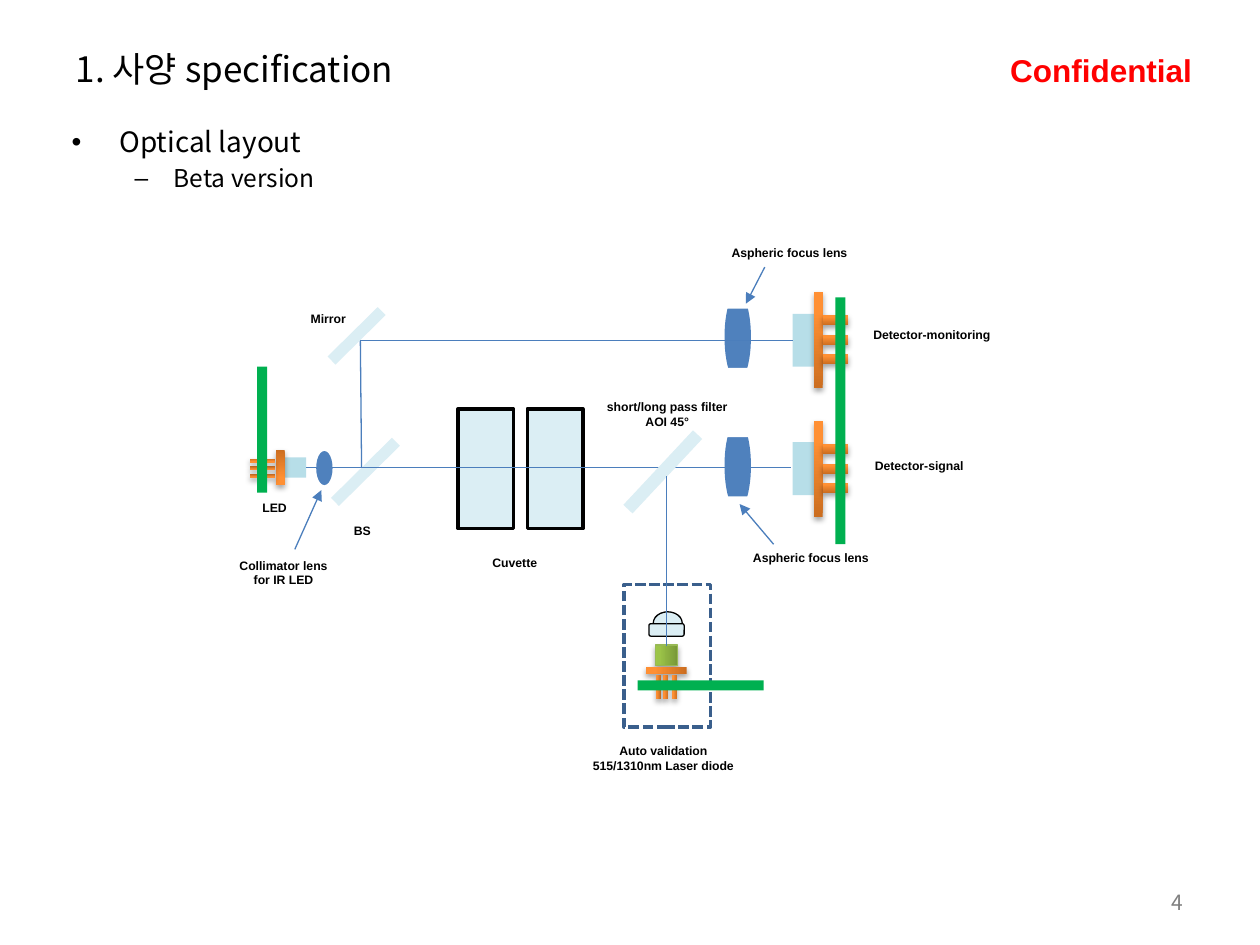
from copy import deepcopy

from lxml.etree import SubElement
from pptx import Presentation
from pptx.dml.color import RGBColor
from pptx.enum.dml import MSO_LINE
from pptx.enum.shapes import MSO_CONNECTOR, MSO_SHAPE
from pptx.enum.text import MSO_ANCHOR, MSO_AUTO_SIZE, PP_ALIGN
from pptx.oxml.ns import qn
from pptx.util import Inches, Pt

COLORS = {
    "text": "000000", "confidential": "FF0000", "page": "808080",
    "glass": "DBEEF4", "window": "B7DEE8", "lens": "4F81BD",
    "beam": "4B7EBC", "board": "00B050", "mask": "FFFFFF",
    "outline": "000000", "module": "3A5F8C", "laser edge": "98B955",
}
METAL = ("CC6E20", "FF9034", "FF9136")
LASER = ("779737", "9BC348", "9DC746")
LABEL_FONT, BODY_FONT = "Arial", "Noto Sans CJK KR"


def rgb(name):
    return RGBColor.from_string(COLORS[name])


class OpticalSlide:
    def __init__(self, slide):
        self.slide = slide
        self.shapes = slide.shapes

    def style(self, paragraph, size, font=BODY_FONT, color="text", bold=False):
        for run in paragraph.runs:
            run.font.size = Pt(size)
            run.font.bold = bold
            run.font.color.rgb = rgb(color)
            run.font.name = font
            SubElement(run.font._element, qn("a:ea"), typeface=font)

    def title(self, text, left, top, width, height):
        title = self.shapes.title
        title.left, title.top = Inches(left), Inches(top)
        title.width, title.height = Inches(width), Inches(height)
        title.text_frame.text = text
        title.text_frame.vertical_anchor = MSO_ANCHOR.MIDDLE
        heading = title.text_frame.paragraphs[0]
        heading.alignment = PP_ALIGN.LEFT
        self.style(heading, 20)

    def frame(self, text, left, top, width, height):
        box = self.shapes.add_textbox(Inches(left), Inches(top),
                                      Inches(width), Inches(height))
        frame = box.text_frame
        frame.text = text
        frame.word_wrap = True
        frame.auto_size = MSO_AUTO_SIZE.NONE
        return frame

    def text(self, text, left, top, width, height, size=7, font=LABEL_FONT,
             color="text", bold=True, align=PP_ALIGN.CENTER, wrap=True,
             anchor=MSO_ANCHOR.TOP):
        frame = self.frame(text, left, top, width, height)
        frame.word_wrap = wrap
        frame.vertical_anchor = anchor
        for paragraph in frame.paragraphs:
            paragraph.alignment = align
            self.style(paragraph, size, font, color, bold)

    def bullets(self, items, left, top, width, height):
        frame = self.frame("\n".join(item[0] for item in items),
                           left, top, width, height)
        for level, (paragraph, item) in enumerate(zip(frame.paragraphs, items)):
            _, mark, size, margin, hanging = item
            properties = paragraph._p.get_or_add_pPr()
            properties.set("marL", str(Inches(margin)))
            properties.set("indent", str(-Inches(hanging)))
            SubElement(properties, qn("a:buFont"), typeface="Arial")
            SubElement(properties, qn("a:buChar"), char=mark)
            paragraph.level = level
            paragraph.space_before = Pt(0.2 * size if level else 0)
            self.style(paragraph, size)

    def block(self, left, top, width, height, fill=None, line=None, weight=0.75,
              kind=MSO_SHAPE.RECTANGLE, turn=0, flip=False):
        shape = self.shapes.add_shape(kind, Inches(left), Inches(top),
                                      Inches(width), Inches(height))
        shape.shadow.inherit = False
        shape.rotation = turn
        if flip:
            shape._element.spPr.xfrm.set("flipV", "1")
        if fill:
            shape.fill.solid()
            shape.fill.fore_color.rgb = rgb(fill)
        else:
            shape.fill.background()
        if line:
            shape.line.color.rgb = rgb(line)
            shape.line.width = Pt(weight)
        else:
            shape.line.fill.background()
        return shape

    def metal(self, left, top, width, height, shades=METAL, **options):
        shape = self.block(left, top, width, height, **options)
        shape.fill.gradient()
        shape.fill.gradient_angle = 90
        properties = shape._element.spPr
        stop_list = properties.find(".//" + qn("a:gsLst"))
        stop_list.append(deepcopy(stop_list[-1]))
        for stop, shade, place in zip(shape.fill.gradient_stops, shades, (0, 0.8, 1)):
            stop.color.rgb = RGBColor.from_string(shade)
            stop.position = place
        shadow = SubElement(properties.find(qn("a:effectLst")), qn("a:outerShdw"),
                            blurRad=str(Pt(3.1)), dist=str(Pt(1.8)),
                            dir="5400000", rotWithShape="0")
        black = SubElement(shadow, qn("a:srgbClr"), val="000000")
        SubElement(black, qn("a:alpha"), val="35000")

    def beam(self, start_x, start_y, end_x, end_y, arrow=False):
        ray = self.shapes.add_connector(
            MSO_CONNECTOR.STRAIGHT, Inches(start_x), Inches(start_y),
            Inches(end_x), Inches(end_y))
        ray.line.color.rgb = rgb("beam")
        ray.line.width = Pt(0.75)
        properties = ray._element.spPr
        if arrow:
            SubElement(properties.find(qn("a:ln")), qn("a:tailEnd"), type="triangle")
        SubElement(properties, qn("a:effectLst"))

    def detector(self, axis):
        self.block(6.29, axis - 0.2, 0.17, 0.42, "window")
        self.metal(6.46, axis - 0.37, 0.07, 0.76)
        for offset in (-0.19, -0.03, 0.12):
            self.metal(6.53, axis + offset, 0.2, 0.08)

    def focus_lens(self, axis):
        self.block(5.75, axis - 0.37, 0.21, 0.71, "lens", kind=MSO_SHAPE.OVAL)
        for left, offset in ((5.74, -0.38), (5.77, 0.25), (5.77, 0.23)):
            self.block(left, axis + offset, 0.22, 0.14, "mask")

    def led(self):
        self.block(2.26, 3.63, 0.17, 0.16, "window", turn=180)
        self.metal(2.19, 3.57, 0.07, 0.28, turn=180)
        for top in (3.76, 3.7, 3.64):
            self.metal(1.98, top, 0.2, 0.03, turn=180)

    def laser_module(self):
        upright = {"turn": 90, "flip": True}
        self.metal(5.21, 5.11, 0.16, 0.18, LASER, line="laser edge", **upright)
        self.metal(5.26, 5.16, 0.06, 0.32, **upright)
        for left in (5.13, 5.19, 5.26):
            self.metal(left, 5.43, 0.19, 0.04, **upright)
        self.block(5.21, 4.83, 0.18, 0.23, "glass", "outline",
                   kind=MSO_SHAPE.OVAL, **upright)
        self.block(5.24, 4.86, 0.1, 0.28, "glass", "outline",
                   kind=MSO_SHAPE.ROUNDED_RECTANGLE, **upright)
        module = self.block(4.95, 4.64, 0.69, 1.13, line="module", weight=2,
                            turn=180, flip=True)
        module.line.dash_style = MSO_LINE.SQUARE_DOT


def main():
    deck = Presentation()
    deck.slide_width, deck.slide_height = Inches(10), Inches(7.5)
    layout = OpticalSlide(deck.slides.add_slide(deck.slide_layouts[5]))
    signal_axis, monitoring_axis = 3.71, 2.69

    # Heading, bullets and page furniture
    layout.text("Confidential", 7.91, 0.36, 1.66, 0.4, size=18,
                color="confidential", wrap=False)
    layout.bullets([("Optical layout", "•", 16, 0.38, 0.38),
                    ("Beta version", "–", 14, 0.81, 0.31)], 0.47, 0.94, 9, 6.02)
    layout.title("1. 사양 specification", 0.5, 0.3, 9, 0.48)
    layout.text("4", 7.16, 7, 2.33, 0.32, size=12, font=BODY_FONT, color="page",
                bold=False, align=PP_ALIGN.RIGHT, anchor=MSO_ANCHOR.MIDDLE)

    # Signal path
    for cuvette_left in (3.38, 3.93):
        layout.block(cuvette_left, 3.5, 0.95, 0.44, "glass", "outline", 2, turn=90)
    layout.led()
    layout.block(2.56, 3.7, 0.68, 0.09, "glass", turn=135.4)
    layout.beam(2.43, signal_axis, 6.28, signal_axis)
    layout.detector(signal_axis)
    layout.beam(2.87, signal_axis, 2.86, 2.7)
    layout.focus_lens(signal_axis)
    layout.block(2.51, 3.58, 0.13, 0.27, "lens", kind=MSO_SHAPE.OVAL)

    # Auto validation path
    layout.laser_module()
    layout.block(5.21, 3.34, 0.1, 0.81, "glass", turn=43, flip=True)
    layout.beam(5.29, 5.13, 5.29, 3.78)

    # Monitoring path
    layout.detector(monitoring_axis)
    layout.focus_lens(monitoring_axis)
    layout.block(2.55, 2.62, 0.56, 0.09, "glass", turn=135.4)
    layout.beam(2.86, 2.7, 6.29, 2.7)

    # Labels
    for label in (
        ("LED", 1.7, 3.92, 0.96, 0.24),
        ("Detector-monitoring", 6.55, 2.55, 1.69, 0.22),
        ("Detector-signal", 6.68, 3.59, 1.23, 0.22),
        ("Cuvette", 3.64, 4.36, 0.89, 0.24),
        ("Auto validation\n515/1310nm Laser diode", 4.38, 5.85, 1.77, 0.34),
        ("Mirror", 2.16, 2.42, 0.89, 0.24),
        ("BS", 2.43, 4.1, 0.89, 0.24),
        ("Aspheric focus lens", 5.42, 1.9, 1.69, 0.22),
        ("Aspheric focus lens", 5.59, 4.32, 1.69, 0.22),
        ("Collimator lens for IR LED", 1.76, 4.38, 0.98, 0.34),
    ):
        layout.text(*label)
    layout.text("short/long pass filter\vAOI 45°", 4.7, 3.12, 1.19, 0.34, wrap=False)

    # Pointers from the lens labels
    for pointer in ((6.07, 2.12, 5.92, 2.41), (6.14, 4.32, 5.87, 4),
                    (2.34, 4.36, 2.55, 3.89)):
        layout.beam(*pointer, arrow=True)

    # Circuit boards
    layout.block(2.04, 2.91, 0.08, 1, "board")
    layout.block(5.52, 4.94, 0.08, 1, "board", turn=90)
    layout.block(6.63, 2.36, 0.08, 1.96, "board")

    deck.save("out.pptx")


if __name__ == "__main__":
    main()
